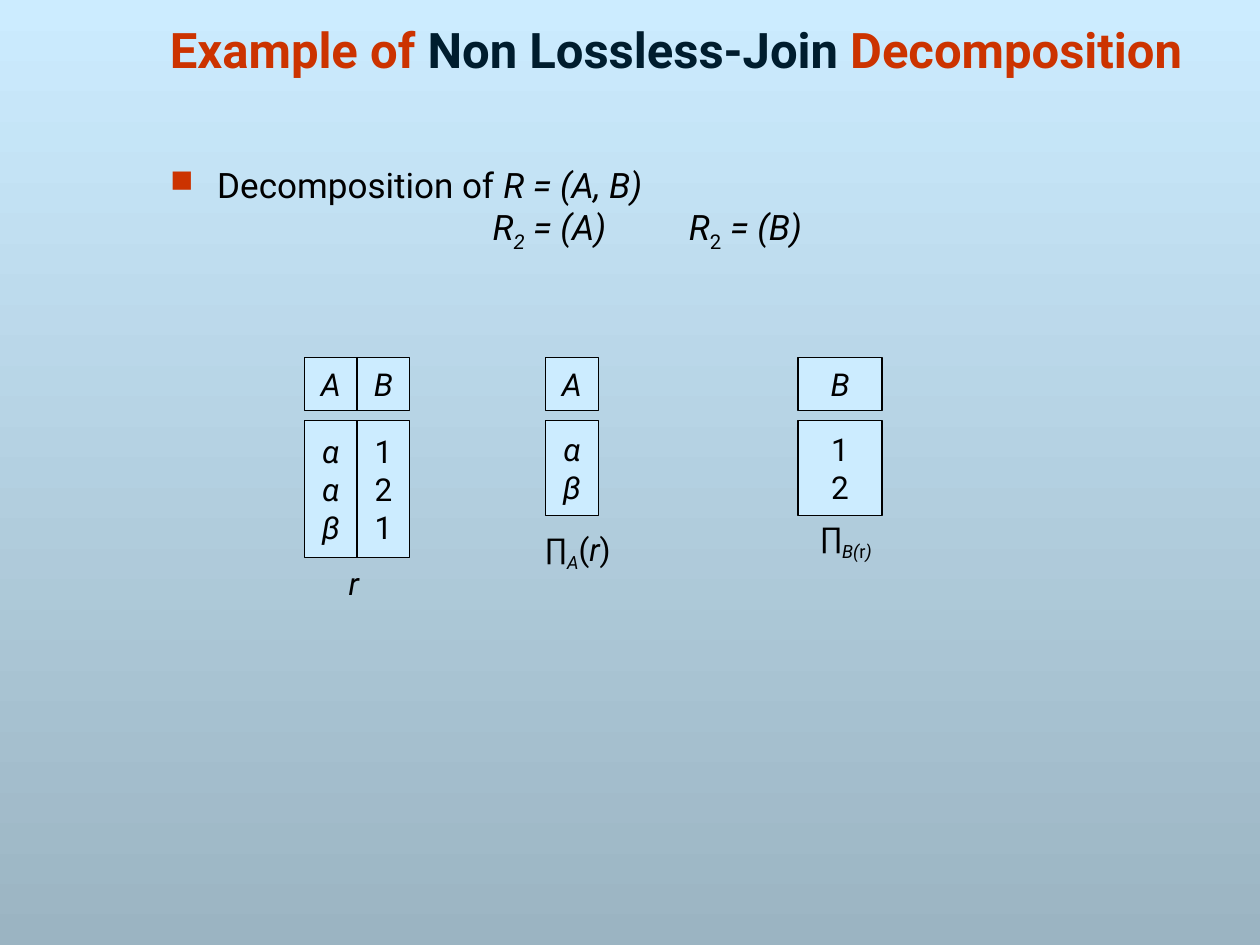
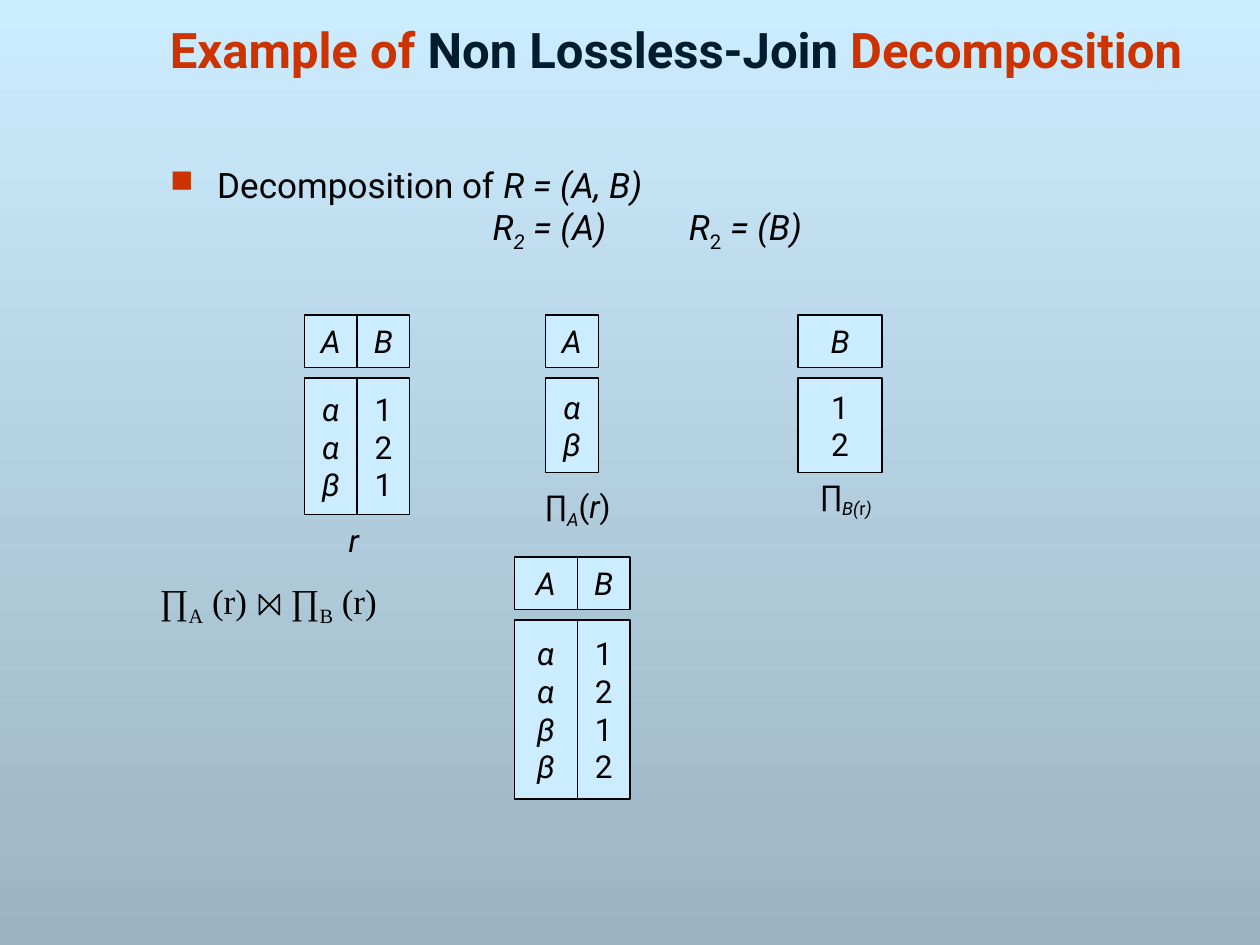
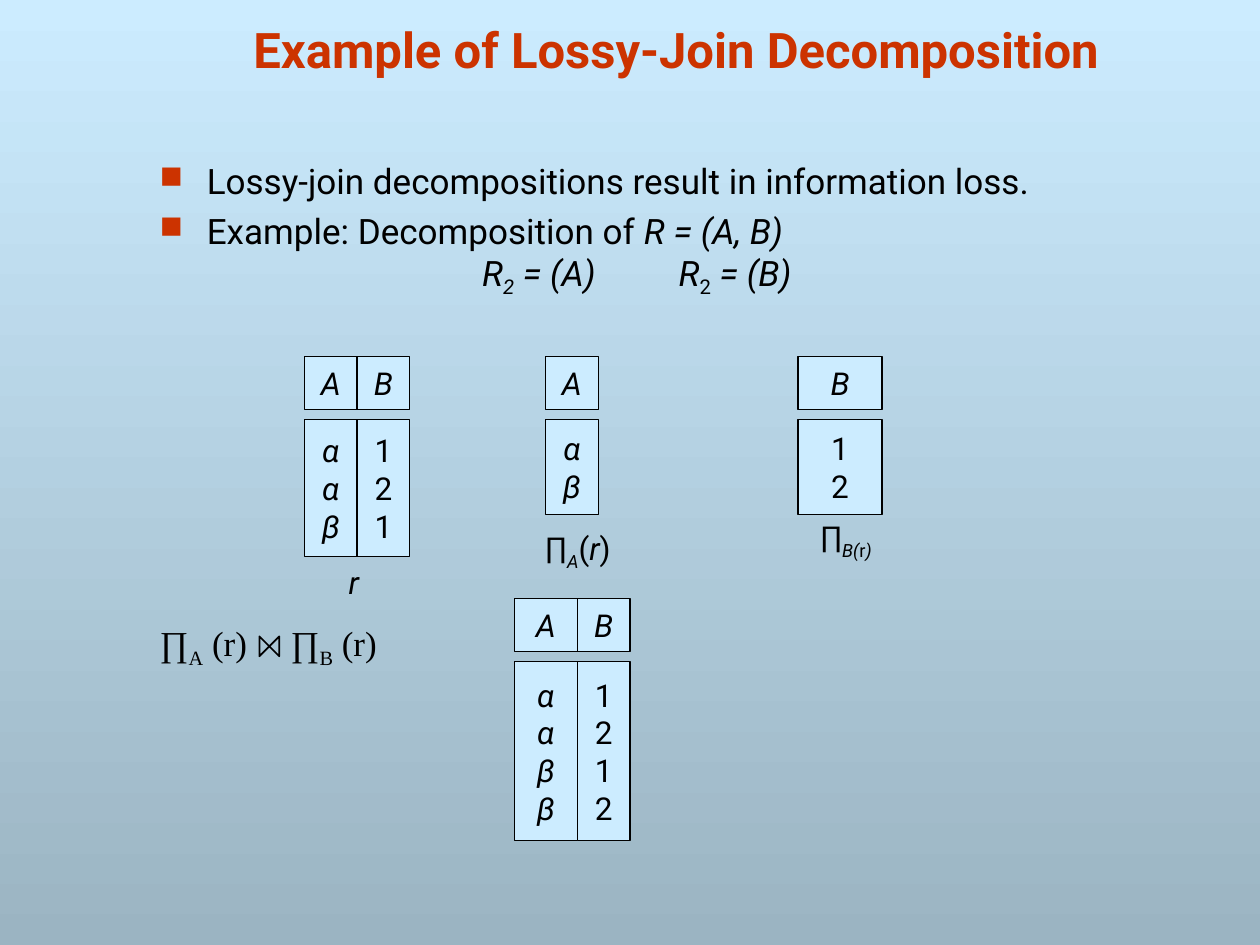
from lxml.etree import SubElement
from pptx import Presentation
from pptx.dml.color import RGBColor
from pptx.enum.shapes import MSO_SHAPE
from pptx.enum.text import MSO_ANCHOR, PP_ALIGN
from pptx.oxml.ns import qn
from pptx.util import Cm, Pt

SKY = RGBColor(0xCC, 0xEC, 0xFF)
SLATE = RGBColor(0x9B, 0xB4, 0xC2)
RUST = RGBColor(0xCC, 0x33, 0x00)
NAVY = RGBColor(0x00, 0x1D, 0x2E)
BLACK = RGBColor(0x00, 0x00, 0x00)

# Font formats
TITLE = {"name": "Roboto", "size": Pt(28), "bold": True}
BODY = {"name": "Roboto", "size": Pt(20)}
CELL = {"name": "Roboto", "size": Pt(18)}
FORMULA = {"name": "Times New Roman", "size": Pt(20)}

# Relation grid, in cm
HEAD_H = 1.06
BODY_TOP = 1.27
ROW_H = 0.85
BODY_PAD = 0.21

# Runs are (text, marks): i = italic, s = subscript, n = navy
NON_LOSSLESS = [("Example of ", ""), ("Non Lossless-Join ", "n"), ("Decomposition ", "")]
LOSSY = [("Example of Lossy-Join Decomposition ", "")]
SCHEMAS = [("R = (A, B)", "i"), ("\n", ""), ("\tR", "i"), ("2", "is"),
           (" = (A)\tR", "i"), ("2", "s"), (" = (B)", "i")]
DECOMPOSITION = [("Decomposition of ", ""), *SCHEMAS]
LOSS = [("Lossy-join decompositions result in information loss.", "")]
EXAMPLE = [("Example: Decomposition of ", ""), *SCHEMAS]
JOIN = [("∏", ""), ("A", "s"), (" (r)\t∏", ""), ("B", "s"), (" (r)", "")]

# Relations: left, column widths, columns (heading first)
R_TABLE = (6.14, [1.06, 1.06], ["Aααβ", "B121"])
A_TABLE = (11.0, [1.06], ["Aαβ"])
B_TABLE = (16.09, [1.69], ["B12"])
JOIN_TABLE = (10.37, [1.27, 1.06], ["Aααββ", "B1212"])

# Relation with its label: label left and width, drop below the table, runs
LABELLED = [
    (R_TABLE, (6.78, 0.71), 0, [("r", "i")]),
    (A_TABLE, (10.67, 1.96), 0.22,
     [("∏", ""), ("A", "is"), ("(", ""), ("r", "i"), (")", "")]),
    (B_TABLE, (16.18, 1.75), 0, [("∏", ""), ("B(", "is"), ("r", "s"), (")", "is")]),
]


def set_format(target, values):
    for attribute, value in values.items():
        setattr(target, attribute, value)


def write_runs(paragraph, runs, style, color=BLACK):
    for text, marks in runs:
        if text == "\n":
            paragraph.add_line_break()
            continue
        run = paragraph.add_run()
        run.text = text
        set_format(run.font, {**style, "italic": "i" in marks})
        run.font.color.rgb = NAVY if "n" in marks else color
        if "s" in marks:
            run.font._element.set("baseline", "-25000")


def add_tabs(paragraph, positions):
    tab_list = SubElement(paragraph._p.get_or_add_pPr(), qn("a:tabLst"))
    for position in positions:
        SubElement(tab_list, qn("a:tab"), pos=str(Cm(position)), algn="l")


def add_bullet(paragraph):
    properties = paragraph._p.get_or_add_pPr()
    properties.set("marL", str(Cm(0.95)))
    properties.set("indent", str(-Cm(0.95)))
    color = SubElement(properties, qn("a:buClr"))
    SubElement(color, qn("a:srgbClr"), val=str(RUST))
    SubElement(properties, qn("a:buSzPct"), val="90000")
    SubElement(properties, qn("a:buChar"), char="■")


def add_text_frame(slide, left, top, width, height, **frame_format):
    box = slide.shapes.add_textbox(Cm(left), Cm(top), Cm(width), Cm(height))
    set_format(box.text_frame, {"word_wrap": True, **frame_format})
    return box.text_frame


def add_title(slide, runs):
    frame = add_text_frame(slide, 1.9, 0.43, 23.7, 1.27,
                           vertical_anchor=MSO_ANCHOR.BOTTOM)
    frame.paragraphs[0].alignment = PP_ALIGN.CENTER
    write_runs(frame.paragraphs[0], runs, TITLE, RUST)


def add_body(slide, left, items, line_spacing=None):
    frame = add_text_frame(slide, left, 3.18, 18.67, 2.4)
    for index, runs in enumerate(items):
        paragraph = frame.add_paragraph() if index else frame.paragraphs[0]
        add_bullet(paragraph)
        add_tabs(paragraph, [6.5, 10.46])
        paragraph.line_spacing = line_spacing
        if index:
            paragraph.space_before = Pt(7)
        write_runs(paragraph, runs, BODY)


def add_cell(slide, left, top, width, height, values):
    cell = slide.shapes.add_shape(MSO_SHAPE.RECTANGLE, Cm(left), Cm(top),
                                  Cm(width), Cm(height))
    cell.shadow.inherit = False
    cell.fill.solid()
    cell.fill.fore_color.rgb = SKY
    cell.line.color.rgb = BLACK
    cell.line.width = Pt(0.75)
    frame = cell.text_frame
    set_format(frame, {"word_wrap": False, "vertical_anchor": MSO_ANCHOR.MIDDLE})
    for index, value in enumerate(values):
        paragraph = frame.add_paragraph() if index else frame.paragraphs[0]
        paragraph.alignment = PP_ALIGN.CENTER
        write_runs(paragraph, [(value, "" if value.isdigit() else "i")], CELL)


def add_relation(slide, top, relation):
    """Draw the columns and return the bottom of the relation."""
    left, widths, columns = relation
    body_h = BODY_PAD + ROW_H * (len(columns[0]) - 1)
    for width, (heading, *values) in zip(widths, columns):
        add_cell(slide, left, top, width, HEAD_H, [heading])
        add_cell(slide, left, top + BODY_TOP, width, body_h, values)
        left += width
    return top + BODY_TOP + body_h


def add_projections(slide, top):
    for relation, (label_left, label_width), drop, runs in LABELLED:
        bottom = add_relation(slide, top, relation)
        frame = add_text_frame(slide, label_left, bottom + drop, label_width, 1.02,
                               word_wrap=False, vertical_anchor=MSO_ANCHOR.MIDDLE)
        frame.paragraphs[0].alignment = PP_ALIGN.CENTER
        write_runs(frame.paragraphs[0], runs, CELL)


def add_bowtie(slide, left, top, size):
    right, bottom = Cm(left + size), Cm(top + size)
    left, top = Cm(left), Cm(top)
    outline = slide.shapes.build_freeform(left, top)
    outline.add_line_segments([(left, bottom), (right, top), (right, bottom)])
    bowtie = outline.convert_to_shape()
    bowtie.shadow.inherit = False
    bowtie.fill.background()
    bowtie.line.color.rgb = BLACK
    bowtie.line.width = Pt(1)


def add_join(slide, top):
    left, formula_top = 2.97, top + 0.33
    formula = add_text_frame(slide, left, formula_top, 6.99, 2.41).paragraphs[0]
    add_tabs(formula, [2.64])
    write_runs(formula, JOIN, FORMULA)
    add_relation(slide, top, JOIN_TABLE)
    add_bowtie(slide, left + 2.26, formula_top + 0.43, 0.4)


def add_example(deck, title, body_left, items, tables_top, joined=True, spacing=None):
    slide = deck.slides.add_slide(deck.slide_layouts[6])
    add_title(slide, title)
    add_body(slide, body_left, items, spacing)
    add_projections(slide, tables_top)
    if joined:
        add_join(slide, tables_top + 4.88)


def set_background(master):
    fill = master.background.fill
    fill.gradient()
    fill.gradient_angle = 270
    for stop, color in zip(fill.gradient_stops, (SKY, SLATE)):
        stop.color.rgb = color


def main():
    deck = Presentation()
    deck.slide_width, deck.slide_height = Cm(25.4), Cm(19.05)
    set_background(deck.slide_master)
    add_example(deck, NON_LOSSLESS, 3.18, [DECOMPOSITION], 7.21, joined=False)
    add_example(deck, NON_LOSSLESS, 3.18, [DECOMPOSITION], 6.35)
    add_example(deck, LOSSY, 2.97, [LOSS, EXAMPLE], 7.19, spacing=0.9)
    deck.save("out.pptx")


if __name__ == "__main__":
    main()
